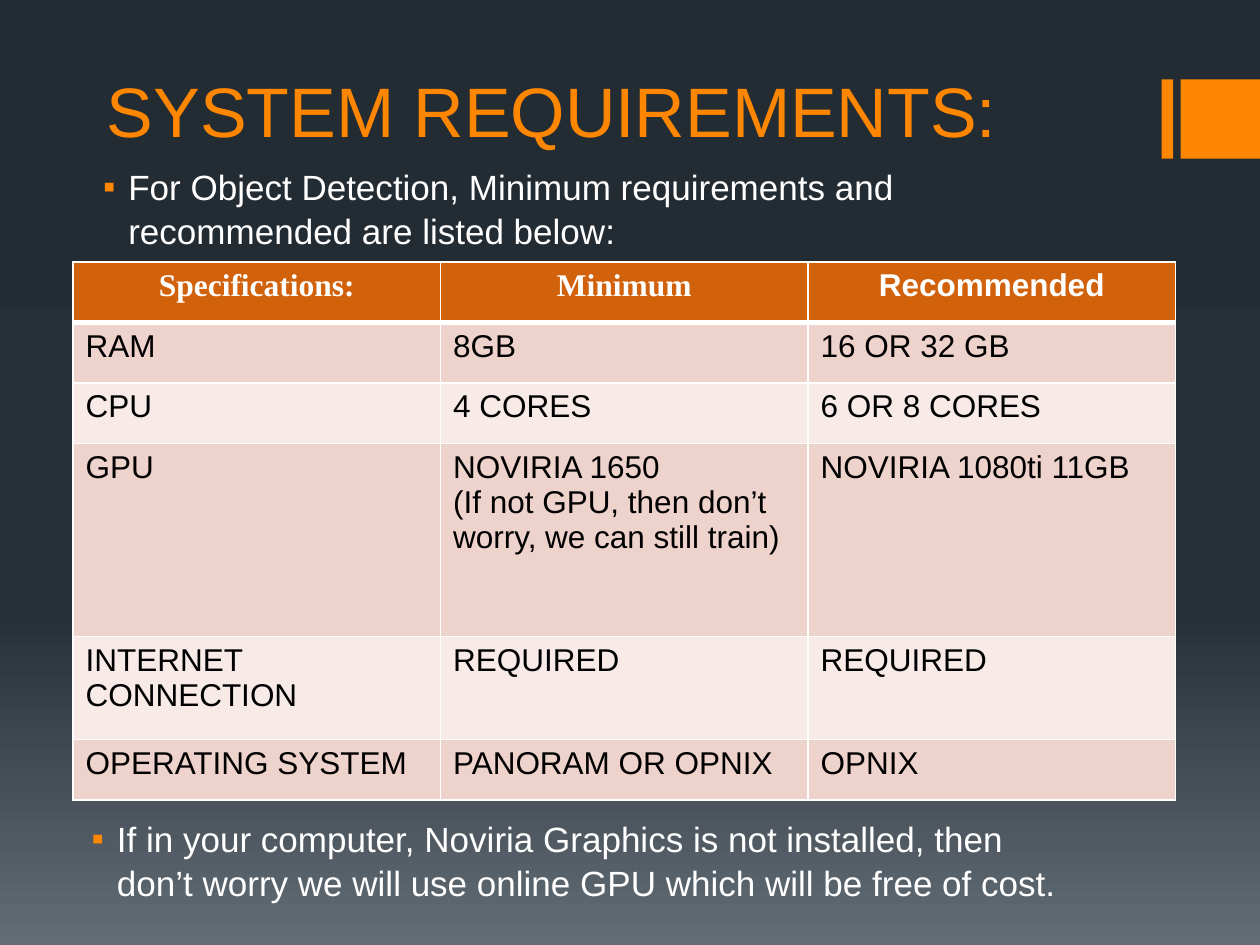
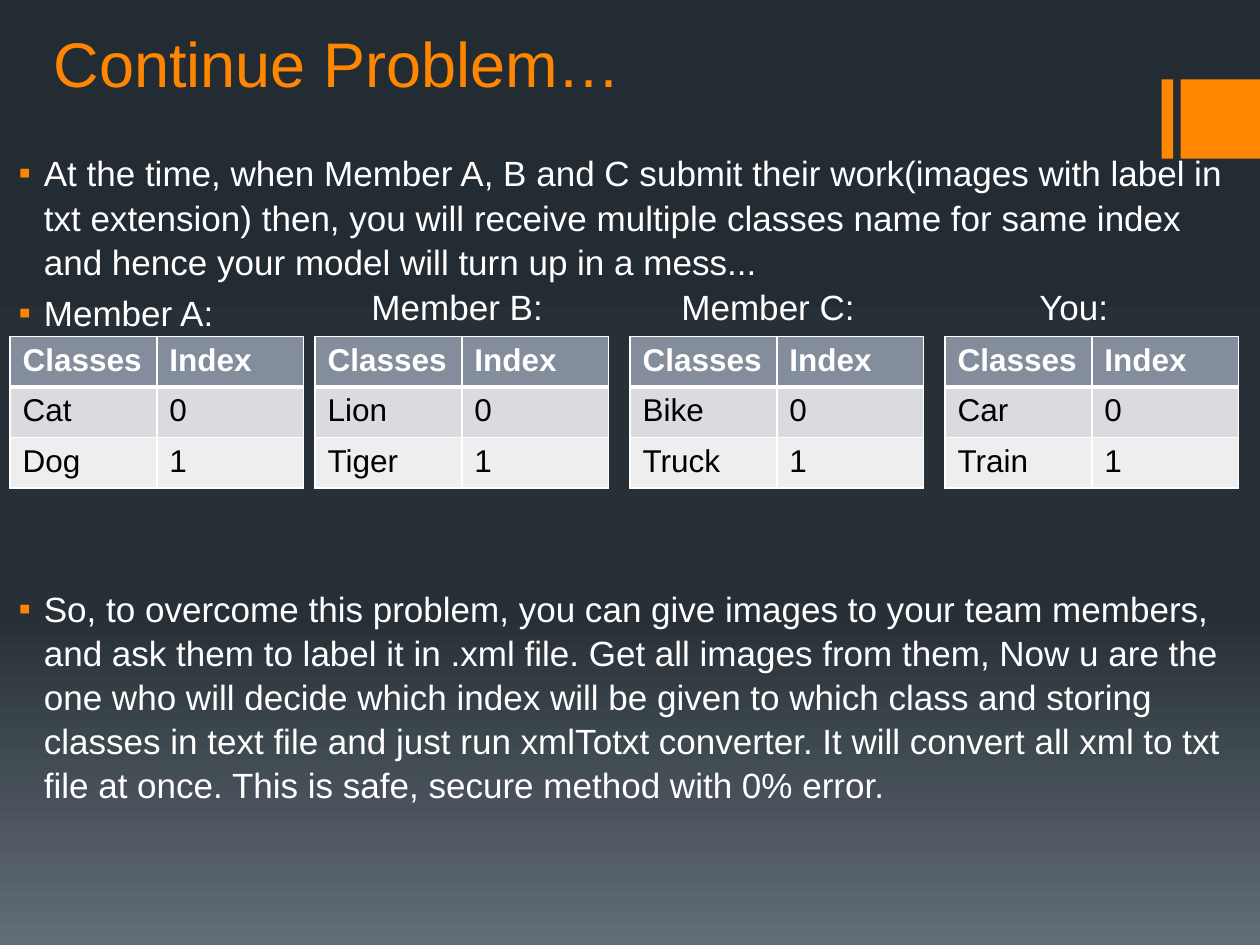
import copy
import dataclasses

import lxml.etree
import pptx
import pptx.dml.color
import pptx.enum.shapes
import pptx.enum.text
import pptx.oxml.ns
import pptx.util

Inches = pptx.util.Inches
Pt = pptx.util.Pt
Color = pptx.dml.color.RGBColor.from_string
qn = pptx.oxml.ns.qn
ALIGN = pptx.enum.text.PP_ALIGN
ANCHOR = pptx.enum.text.MSO_ANCHOR


@dataclasses.dataclass(frozen=True)
class Theme:
    """Colours, fonts and type sizes shared by the slides."""
    accent: str = "FF8600"
    light: str = "FFFFFF"
    dark: str = "000000"
    background: tuple = ((0, "242C33"), (0.65, "273037"), (1, "636D76"))
    # Header row, odd body rows, even body rows
    orange_table: tuple = ("D2610C", "EED2CC", "F7EAE7")
    gray_table: tuple = ("838D9B", "D9DBDE", "EDEEEF")
    font: str = "Arial"
    header_font: str = "Times New Roman"
    title: int = 40
    small_title: int = 36
    body: int = 20
    cell: int = 18


theme = Theme()


def add_text(slide, box, texts, size=theme.body, color=theme.light,
             anchor=ANCHOR.TOP, bullets=False, line_spacing=1.05):
    """Add a text box with one paragraph per text and return its frame."""
    frame = slide.shapes.add_textbox(*map(Inches, box)).text_frame
    frame.word_wrap = True
    frame.vertical_anchor = anchor
    frame.text = "\n".join(texts)
    for paragraph in frame.paragraphs:
        paragraph.font.name = theme.font
        paragraph.font.size = Pt(size)
        paragraph.font.color.rgb = Color(color)
        paragraph.line_spacing = line_spacing
        if bullets:
            paragraph.space_before = Pt(4)
            properties = paragraph._p.get_or_add_pPr()
            properties.set("marL", str(Inches(0.25)))
            properties.set("indent", str(Inches(-0.2)))
            bullet_color = lxml.etree.SubElement(properties, qn("a:buClr"))
            lxml.etree.SubElement(bullet_color, qn("a:srgbClr"), val=theme.accent)
            lxml.etree.SubElement(properties, qn("a:buFont"), typeface=theme.font)
            lxml.etree.SubElement(properties, qn("a:buChar"), char="▪")
    return frame


def add_table(slide, left, top, width, row_heights, rows, fills):
    """Add a table with equal columns, banded rows and white borders."""
    column_count = len(rows[0])
    table = slide.shapes.add_table(
        len(rows), column_count, Inches(left), Inches(top),
        Inches(width), Inches(sum(row_heights))).table
    for column in table.columns:
        column.width = Inches(width / column_count)
    for row_index, values in enumerate(rows):
        table.rows[row_index].height = Inches(row_heights[row_index])
        is_header = row_index == 0
        fill = fills[0] if is_header else fills[2 - row_index % 2]
        for column_index, value in enumerate(values):
            cell = table.cell(row_index, column_index)
            cell.text = value
            properties = cell._tc.get_or_add_tcPr()
            for side in "LRTB":
                thick = (row_index, side) in ((0, "B"), (1, "T"))
                line = lxml.etree.SubElement(
                    properties, qn(f"a:ln{side}"), w=str(Pt(3 if thick else 1)))
                line_fill = lxml.etree.SubElement(line, qn("a:solidFill"))
                lxml.etree.SubElement(line_fill, qn("a:srgbClr"), val=theme.light)
            cell.fill.solid()
            cell.fill.fore_color.rgb = Color(fill)
            for paragraph in cell.text_frame.paragraphs:
                paragraph.font.name = theme.font
                paragraph.font.size = Pt(theme.cell)
                paragraph.font.bold = is_header
                paragraph.font.color.rgb = Color(theme.light if is_header else theme.dark)
    return table


presentation = pptx.Presentation()
presentation.slide_width = Inches(10)
presentation.slide_height = Inches(7.5)

# Shared background: a vertical gradient with three stops
background = presentation.slide_master.background.fill
background.gradient()
background.gradient_angle = 270
stop_list = presentation.slide_master.element.find(".//" + qn("a:gsLst"))
stop_list.insert(1, copy.deepcopy(stop_list[0]))
for stop, (position, color) in zip(background.gradient_stops, theme.background):
    stop.position = position
    stop.color.rgb = Color(color)

# Both slides carry the accent bars at the right edge
blank_layout = presentation.slide_layouts[6]
requirements_slide = presentation.slides.add_slide(blank_layout)
problem_slide = presentation.slides.add_slide(blank_layout)
for slide in presentation.slides:
    for left, width in ((9.22, 0.09), (9.37, 0.63)):
        bar = slide.shapes.add_shape(
            pptx.enum.shapes.MSO_SHAPE.RECTANGLE,
            Inches(left), Inches(0.63), Inches(width), Inches(0.63))
        bar.shadow.inherit = False
        bar.fill.solid()
        bar.fill.fore_color.rgb = Color(theme.accent)
        bar.line.fill.background()

# Slide 1: system requirements
add_text(requirements_slide, (0.75, 0, 8, 1.25), ["SYSTEM REQUIREMENTS:"],
         theme.title, theme.accent, ANCHOR.BOTTOM, line_spacing=1)
add_text(requirements_slide, (0.67, 1.25, 8, 0.83),
         ["For Object Detection, Minimum requirements and recommended are listed below:"],
         bullets=True)
requirements = [
    ("Specifications:", "Minimum", "Recommended"),
    ("RAM", "8GB", "16 OR 32 GB"),
    ("CPU", "4 CORES", "6 OR 8 CORES"),
    ("GPU", "NOVIRIA 1650\n(If not GPU, then don’t worry, we can still train)",
     "NOVIRIA 1080ti 11GB"),
    ("INTERNET CONNECTION", "REQUIRED", "REQUIRED"),
    ("OPERATING SYSTEM", "PANORAM OR OPNIX", "OPNIX"),
]
requirements_table = add_table(
    requirements_slide, 0.58, 2.08, 8.75, (0.48, 0.48, 0.48, 1.53, 0.82, 0.48),
    requirements, theme.orange_table)
header_fonts = (theme.header_font, theme.header_font, theme.font)
for column_index, font in enumerate(header_fonts):
    paragraph = requirements_table.cell(0, column_index).text_frame.paragraphs[0]
    paragraph.alignment = ALIGN.CENTER
    paragraph.font.name = font
add_text(requirements_slide, (0.58, 6.42, 8, 0.83),
         ["If in your computer, Noviria Graphics is not installed, then don’t worry "
          "we will use online GPU which will be free of cost."],
         bullets=True)

# Slide 2: class indexes that clash between team members
add_text(problem_slide, (0.33, 0.17, 8, 0.67), ["Continue Problem…"],
         theme.small_title, theme.accent, ANCHOR.BOTTOM, line_spacing=1)
explanation = add_text(
    problem_slide, (0, 1.14, 10, 6.36),
    ["At the time, when Member A, B and C submit their work(images with label in txt "
     "extension) then, you will receive multiple classes name for same index and hence "
     "your model will turn up in a mess...",
     "Member A:",
     "So, to overcome this problem, you can give images to your team members, and ask "
     "them to label it in .xml file. Get all images from them, Now u are the one who will "
     "decide which index will be given to which class and storing classes in text file "
     "and just run xmlTotxt converter. It will convert all xml to txt file at once. This "
     "is safe, secure method with 0% error."],
    bullets=True)
explanation.paragraphs[2].space_before = Pt(144)  # room for the tables

for label, left in (("Member B:", 2.85), ("Member C:", 5.31), ("You:", 8.15)):
    add_text(problem_slide, (left, 2.2, 1.6, 0.43), [label])

member_classes = (
    (0.08, "Cat", "Dog"),
    (2.5, "Lion", "Tiger"),
    (5, "Bike", "Truck"),
    (7.5, "Car", "Train"),
)
for left, first_class, second_class in member_classes:
    add_table(problem_slide, left, 2.67, 2.33, [0.38] * 3,
              [("Classes", "Index"), (first_class, "0"), (second_class, "1")],
              theme.gray_table)

presentation.save("out.pptx")
